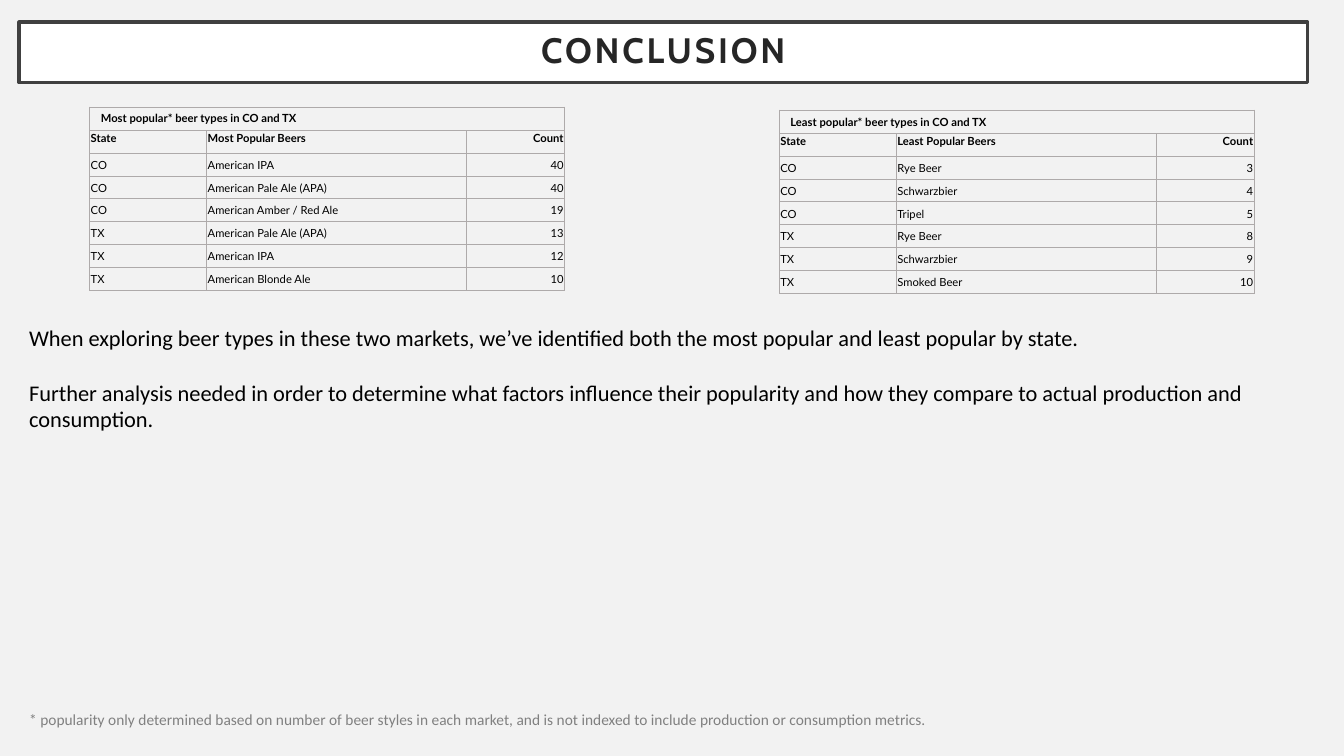
"""Build the conclusion slide comparing the most and least popular beer types."""
import dataclasses

import lxml.etree
import pptx
import pptx.dml.color
import pptx.enum.text
import pptx.oxml.ns
import pptx.presentation
import pptx.slide
import pptx.table
import pptx.text.text
import pptx.util

Inches = pptx.util.Inches
Align = pptx.enum.text.PP_ALIGN
Anchor = pptx.enum.text.MSO_ANCHOR


@dataclasses.dataclass(frozen=True)
class Theme:
    background: str = "F2F2F2"
    title_fill: str = "FFFFFF"
    title_line: str = "404040"
    title_color: str = "262626"
    text_color: str = "000000"
    note_color: str = "808080"
    border_color: str = "AEAAAA"
    title_font: str = "Cabin"
    body_font: str = "Calibri"
    table_font: str = "Lato"
    title_size: float = 25.2
    body_size: float = 16
    note_size: float = 11
    table_size: float = 8
    body_gap: float = 19.5
    title_line_width: float = 2.5
    border_width: float = 0.5


@dataclasses.dataclass(frozen=True)
class BeerTable:
    left: float
    top: float
    caption: str
    beer_heading: str
    rows: tuple[tuple[str, str, int], ...]


@dataclasses.dataclass(frozen=True)
class TextBlock:
    top: float
    height: float
    paragraphs: tuple[str, ...]
    size: float
    color: str


THEME = Theme()
MARGIN_LEFT, CONTENT_WIDTH = 0.19, 12.78
COLUMN_WIDTHS = (1.16, 2.58, 0.97)
TABLE_HEIGHT = 1.81
CAPTION_INSETS = (0.11, 0.05, 0.11, 0.05)
CELL_INSETS = (0.01, 0.01, 0.01, 0)

BEER_TABLES = (
    BeerTable(0.89, 1.06, "Most popular* beer types in CO and TX", "Most Popular Beers", (
        ("CO", "American IPA", 40),
        ("CO", "American Pale Ale (APA)", 40),
        ("CO", "American Amber / Red Ale", 19),
        ("TX", "American Pale Ale (APA)", 13),
        ("TX", "American IPA", 12),
        ("TX", "American Blonde Ale", 10),
    )),
    BeerTable(7.73, 1.09, "Least popular* beer types in CO and TX", "Least Popular Beers", (
        ("CO", "Rye Beer", 3),
        ("CO", "Schwarzbier", 4),
        ("CO", "Tripel", 5),
        ("TX", "Rye Beer", 8),
        ("TX", "Schwarzbier", 9),
        ("TX", "Smoked Beer", 10),
    )),
)

TEXT_BLOCKS = (
    TextBlock(3.17, 1.18, (
        "When exploring beer types in these two markets, we’ve identified both "
        "the most popular and least popular by state.",
        "Further analysis needed in order to determine what factors influence their "
        "popularity and how they compare to actual production and consumption.",
    ), THEME.body_size, THEME.text_color),
    TextBlock(7, 0.29, (
        "* popularity only determined based on number of beer styles in each market, "
        "and is not indexed to include production or consumption metrics.",
    ), THEME.note_size, THEME.note_color),
)


def rgb(value: str) -> pptx.dml.color.RGBColor:
    return pptx.dml.color.RGBColor.from_string(value)


def write_text(paragraph: pptx.text.text._Paragraph, text: str, *, font: str, size: float,
               color: str = THEME.text_color, bold: bool = False,
               align: Align = Align.LEFT, spacing: float = 0) -> None:
    paragraph.alignment = align
    run = paragraph.add_run()
    run.text = text
    run.font.name = font
    run.font.size = pptx.util.Pt(size)
    run.font.bold = bold
    run.font.color.rgb = rgb(color)
    if spacing:
        run._r.get_or_add_rPr().set("spc", str(int(spacing * 100)))


def add_title(slide: pptx.slide.Slide) -> None:
    title = slide.shapes.title
    title.left, title.top = Inches(MARGIN_LEFT), Inches(0.22)
    title.width, title.height = Inches(CONTENT_WIDTH), Inches(0.6)
    title.fill.solid()
    title.fill.fore_color.rgb = rgb(THEME.title_fill)
    title.line.color.rgb = rgb(THEME.title_line)
    title.line.width = pptx.util.Pt(THEME.title_line_width)
    frame = title.text_frame
    frame.auto_size = pptx.enum.text.MSO_AUTO_SIZE.NONE
    frame.vertical_anchor = Anchor.MIDDLE
    frame.margin_left = frame.margin_right = Inches(0.2)
    frame.margin_top = frame.margin_bottom = Inches(0.2)
    frame.paragraphs[0].line_spacing = 0.9
    write_text(frame.paragraphs[0], "CONCLUSION", font=THEME.title_font, size=THEME.title_size,
               color=THEME.title_color, bold=True, align=Align.CENTER, spacing=2)


def add_text_block(slide: pptx.slide.Slide, block: TextBlock) -> None:
    box = slide.shapes.add_textbox(Inches(MARGIN_LEFT), Inches(block.top),
                                   Inches(CONTENT_WIDTH), Inches(block.height))
    frame = box.text_frame
    frame.word_wrap = True
    for index, text in enumerate(block.paragraphs):
        paragraph = frame.add_paragraph() if index else frame.paragraphs[0]
        paragraph.space_before = pptx.util.Pt(THEME.body_gap if index else 0)
        write_text(paragraph, text, font=THEME.body_font, size=block.size, color=block.color)


def outline_cell(cell: pptx.table._Cell) -> None:
    properties = cell._tc.get_or_add_tcPr()
    for side in ("lnL", "lnR", "lnT", "lnB"):
        line = lxml.etree.SubElement(properties, pptx.oxml.ns.qn(f"a:{side}"),
                                     w=str(pptx.util.Pt(THEME.border_width)))
        fill = lxml.etree.SubElement(line, pptx.oxml.ns.qn("a:solidFill"))
        lxml.etree.SubElement(fill, pptx.oxml.ns.qn("a:srgbClr"), val=THEME.border_color)
    cell.fill.background()


def fill_cell(cell: pptx.table._Cell, text: str, *, insets: tuple[float, ...] = CELL_INSETS,
              bold: bool = False, align: Align = Align.LEFT) -> None:
    cell.margin_left, cell.margin_top, cell.margin_right, cell.margin_bottom = map(Inches, insets)
    cell.vertical_anchor = Anchor.TOP if bold else Anchor.MIDDLE
    write_text(cell.text_frame.paragraphs[0], text, font=THEME.table_font,
               size=THEME.table_size, bold=bold, align=align)


def add_beer_table(slide: pptx.slide.Slide, beers: BeerTable) -> None:
    body = (("State", beers.beer_heading, "Count"), *beers.rows)
    table = slide.shapes.add_table(len(body) + 1, len(COLUMN_WIDTHS),
                                   Inches(beers.left), Inches(beers.top),
                                   Inches(sum(COLUMN_WIDTHS)), Inches(TABLE_HEIGHT)).table
    table.first_row = table.horz_banding = False
    for column, width in zip(table.columns, COLUMN_WIDTHS):
        column.width = Inches(width)
    for cell in table.iter_cells():
        outline_cell(cell)
    caption = table.cell(0, 0)
    caption.merge(table.cell(0, len(COLUMN_WIDTHS) - 1))
    fill_cell(caption, beers.caption, insets=CAPTION_INSETS, bold=True)
    for row, values in enumerate(body, start=1):
        for column, value in enumerate(values):
            fill_cell(table.cell(row, column), str(value), bold=row == 1,
                      align=Align.RIGHT if column == 2 else Align.LEFT)


def build_presentation() -> pptx.presentation.Presentation:
    presentation = pptx.Presentation()
    presentation.slide_width, presentation.slide_height = Inches(13.33), Inches(7.5)
    slide = presentation.slides.add_slide(presentation.slide_layouts.get_by_name("Title Only"))
    slide.background.fill.solid()
    slide.background.fill.fore_color.rgb = rgb(THEME.background)
    add_title(slide)
    for beers in BEER_TABLES:
        add_beer_table(slide, beers)
    for block in TEXT_BLOCKS:
        add_text_block(slide, block)
    return presentation


if __name__ == "__main__":
    build_presentation().save("out.pptx")
